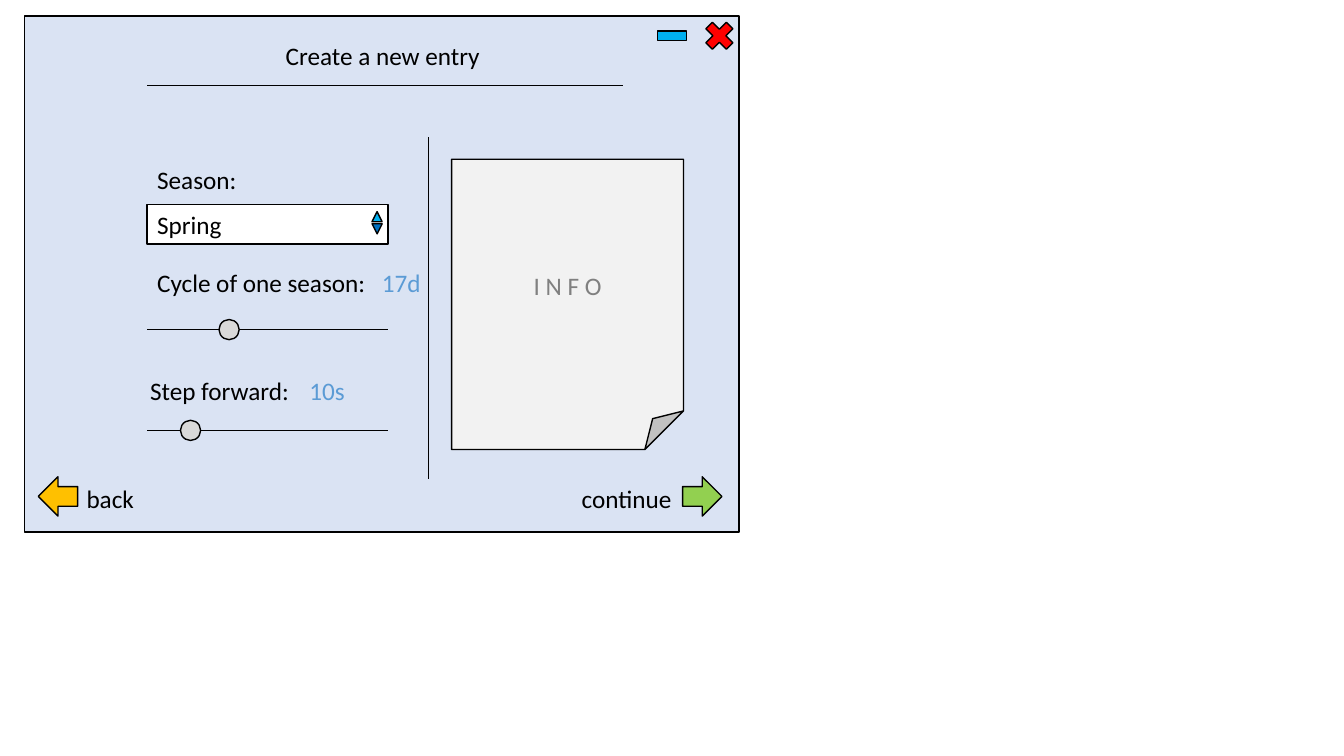
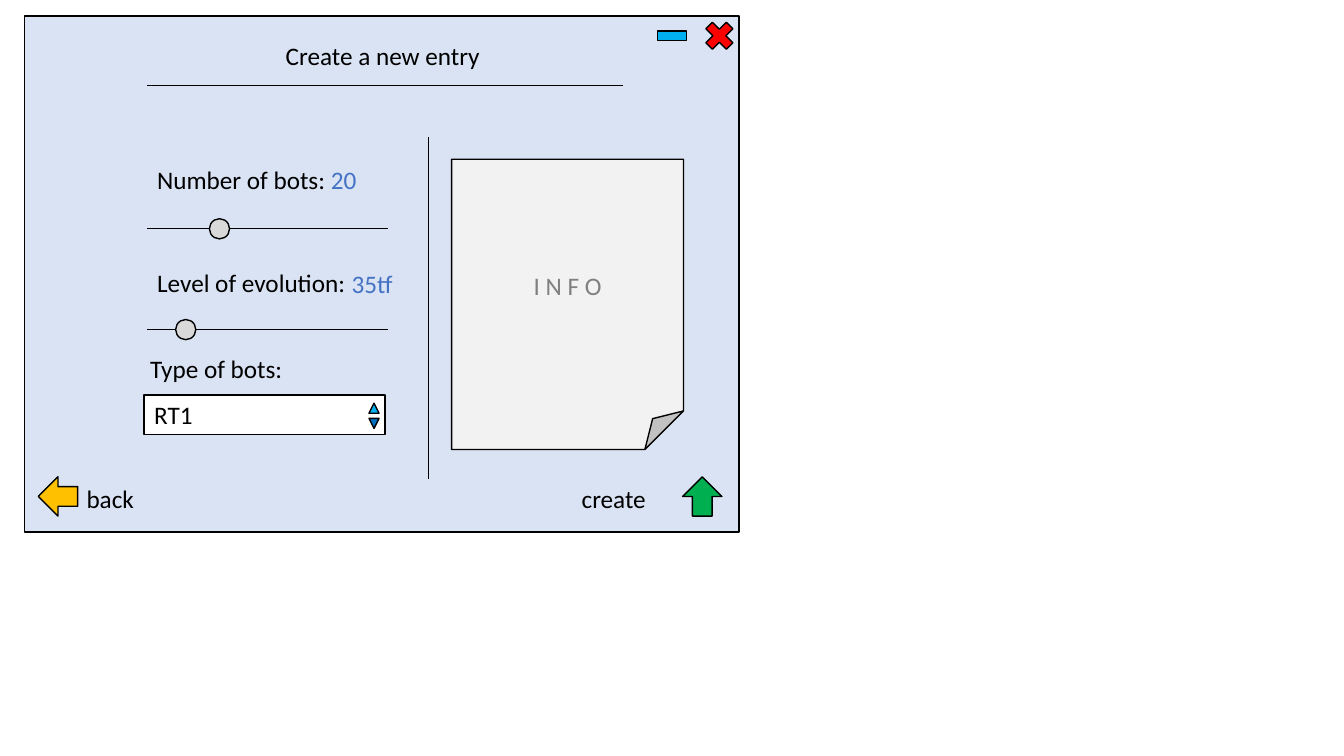
from pptx import Presentation
from pptx.dml.color import RGBColor
from pptx.enum.shapes import MSO_CONNECTOR, MSO_SHAPE as Preset
from pptx.enum.text import MSO_ANCHOR, MSO_AUTO_SIZE, PP_ALIGN
from pptx.oxml import parse_xml
from pptx.oxml.ns import nsdecls
from pptx.util import Inches, Pt

BLACK = RGBColor(0x00, 0x00, 0x00)
WHITE = RGBColor(0xFF, 0xFF, 0xFF)
PANEL = RGBColor(0xDA, 0xE3, 0xF3)
RED = RGBColor(0xFF, 0x00, 0x00)
AMBER = RGBColor(0xFF, 0xC0, 0x00)
SKY = RGBColor(0x00, 0xB0, 0xF0)
BLUE = RGBColor(0x00, 0x70, 0xC0)
LIME = RGBColor(0x92, 0xD0, 0x50)
GREEN = RGBColor(0x00, 0xB0, 0x50)
KNOB = RGBColor(0xD9, 0xD9, 0xD9)
PAPER = RGBColor(0xF2, 0xF2, 0xF2)
GREY = RGBColor(0x80, 0x80, 0x80)
SOFT_BLUE = RGBColor(0x5B, 0x9B, 0xD5)
DEEP_BLUE = RGBColor(0x44, 0x72, 0xC4)

FONT, TEXT_SIZE = "Calibri", 18
ICON = 0.39
KNOB_SIZE = 0.2
SPINNER = 0.1
FIELD_LEFT, FIELD_WIDTH = 1.46, 2.39
LABEL_HEIGHT = 0.4
BUTTON_TOP, CAPTION_TOP = 4.73, 4.75

SCREENS = [
    {
        "labels": [
            (1.46, 1.58, 2.39, [("Season:", BLACK)]),
            (1.46, 2.6, 2.39, [("Cycle of one season:", BLACK)]),
            (3.69, 2.6, 0.79, [("17d", SOFT_BLUE)]),
            (1.39, 3.67, 2.39, [("Step forward:", BLACK)]),
            (2.97, 3.67, 0.56, [("10s", SOFT_BLUE)]),
        ],
        "sliders": [(3.27, 0.34), (4.27, 0.18)],
        "dropdown": ("Spring", 1.46, 2.03, (0.07, 0.19)),
        "next": ("continue", 1.11, LIME, 0),
    },
    {
        "labels": [
            (1.46, 1.58, 2.39, [("Number of bots:", BLACK), (" 20", DEEP_BLUE)]),
            (1.46, 2.6, 2.39, [("Level of evolution:", BLACK)]),
            (3.39, 2.61, 0.79, [("35tf", DEEP_BLUE)]),
            (1.39, 3.46, 2.39, [("Type of bots:", BLACK)]),
        ],
        "sliders": [(2.27, 0.3), (3.27, 0.16)],
        "dropdown": ("RT1", 1.43, 3.92, (0.08, 0.23)),
        "next": ("create", 0.85, GREEN, 270),
    },
]


def write(text_frame, parts, align=PP_ALIGN.LEFT):
    paragraph = text_frame.paragraphs[0]
    paragraph.alignment = align
    for text, color in parts:
        run = paragraph.add_run()
        run.text = text
        run.font.name = FONT
        run.font.size = Pt(TEXT_SIZE)
        run.font.color.rgb = color


def add_label(slide, left, top, width, parts, wrap=True, align=PP_ALIGN.LEFT):
    box = slide.shapes.add_textbox(
        Inches(left), Inches(top), Inches(width), Inches(LABEL_HEIGHT))
    box.text_frame.word_wrap = wrap
    box.text_frame.auto_size = MSO_AUTO_SIZE.SHAPE_TO_FIT_TEXT
    write(box.text_frame, parts, align)


def add_block(slide, preset, left, top, width, height, fill, rotation=0):
    shape = slide.shapes.add_shape(
        preset, Inches(left), Inches(top), Inches(width), Inches(height))
    shape.shadow.inherit = False
    shape.fill.solid()
    shape.fill.fore_color.rgb = fill
    shape.line.color.rgb = BLACK
    shape.line.width = Pt(1)
    shape.rotation = rotation
    shape.text_frame.vertical_anchor = MSO_ANCHOR.MIDDLE
    return shape


def add_rule(slide, left, top, right, bottom):
    rule = slide.shapes.add_connector(
        MSO_CONNECTOR.STRAIGHT,
        Inches(left), Inches(top), Inches(right), Inches(bottom))
    rule.line.color.rgb = BLACK
    rule.line.width = Pt(0.5)
    rule._element.spPr.append(parse_xml(f"<a:effectLst {nsdecls('a')}/>"))


def add_window(slide):
    add_block(slide, Preset.RECTANGLE, 0.24, 0.16, 7.09, 5.12, PANEL)
    for preset, left, top, fill in (
        (Preset.MATH_MULTIPLY, 6.94, 0.16, RED),
        (Preset.MATH_MINUS, 6.47, 0.16, SKY),
        (Preset.LEFT_ARROW, 0.38, BUTTON_TOP, AMBER),
    ):
        add_block(slide, preset, left, top, ICON, ICON, fill)
    add_label(slide, 0.76, CAPTION_TOP, 0.68, [("back", BLACK)], wrap=False)
    add_label(slide, 2.72, 0.35, 2.21, [("Create a new entry ", BLACK)],
              wrap=False, align=PP_ALIGN.CENTER)
    add_rule(slide, 1.46, 0.85, 6.18, 0.85)
    add_rule(slide, 4.25, 1.36, 4.25, 4.75)
    info = add_block(slide, Preset.FOLDED_CORNER, 4.48, 1.58, 2.3, 2.88, PAPER)
    write(info.text_frame, [("I N F O", GREY)], PP_ALIGN.CENTER)


def add_slider(slide, middle, share):
    add_rule(slide, FIELD_LEFT, middle, FIELD_LEFT + FIELD_WIDTH, middle)
    center = FIELD_LEFT + share * FIELD_WIDTH
    add_block(slide, Preset.OVAL, center - KNOB_SIZE / 2, middle - KNOB_SIZE / 2,
              KNOB_SIZE, KNOB_SIZE, KNOB)


def add_dropdown(slide, choice, left, top, spinner_offsets):
    field = add_block(slide, Preset.RECTANGLE, left, top, FIELD_WIDTH, ICON, WHITE)
    write(field.text_frame, [(choice, BLACK)])
    spinner_left = left + FIELD_WIDTH - 0.16
    for offset, fill, rotation in zip(spinner_offsets, (SKY, BLUE), (0, 180)):
        add_block(slide, Preset.ISOSCELES_TRIANGLE, spinner_left, top + offset,
                  SPINNER, SPINNER, fill, rotation)


def add_next(slide, caption, width, fill, rotation):
    add_block(slide, Preset.RIGHT_ARROW, 6.77, BUTTON_TOP, ICON, ICON, fill, rotation)
    add_label(slide, 5.67, CAPTION_TOP, width, [(caption, BLACK)], wrap=False)


def main():
    presentation = Presentation()
    presentation.slide_width = Inches(13.33)
    presentation.slide_height = Inches(7.5)
    for screen in SCREENS:
        slide = presentation.slides.add_slide(presentation.slide_layouts[6])
        add_window(slide)
        for label in screen["labels"]:
            add_label(slide, *label)
        for slider in screen["sliders"]:
            add_slider(slide, *slider)
        add_dropdown(slide, *screen["dropdown"])
        add_next(slide, *screen["next"])
    presentation.save("out.pptx")


if __name__ == "__main__":
    main()
